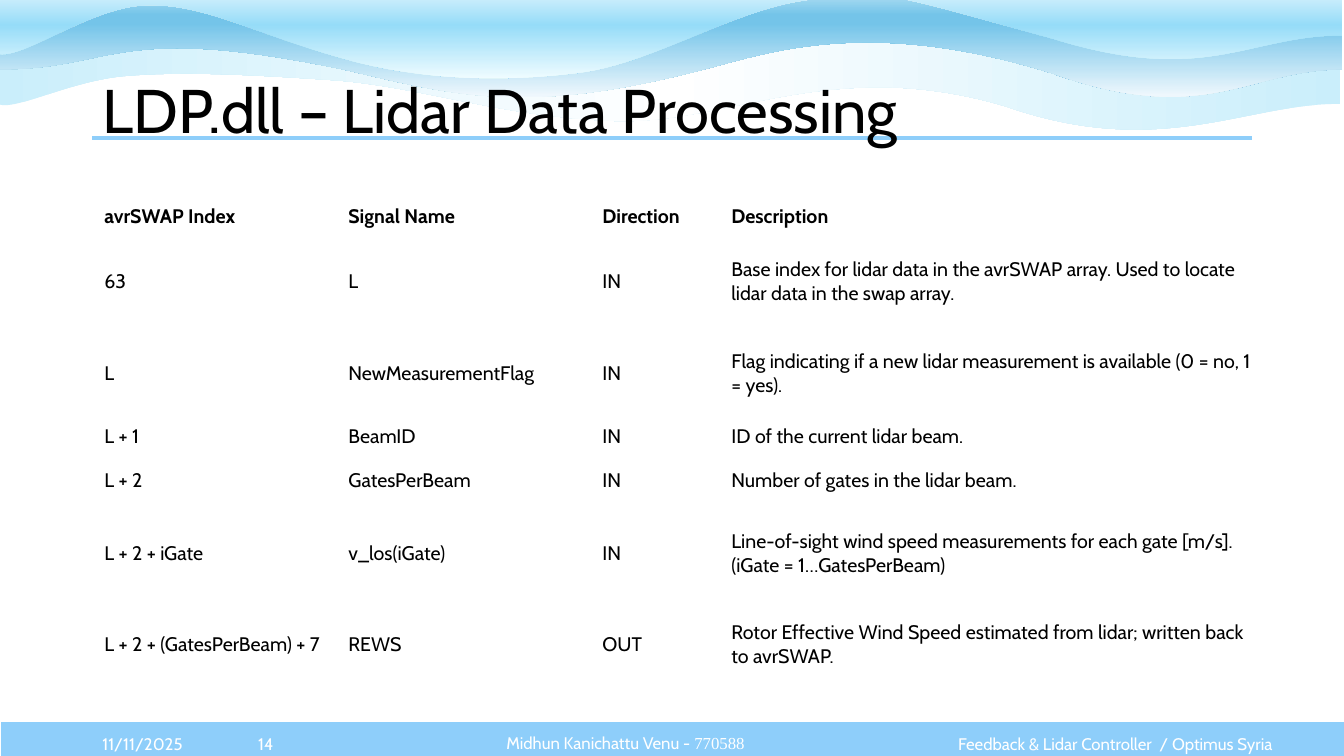
from lxml.etree import SubElement
from pptx import Presentation
from pptx.dml.color import RGBColor
from pptx.enum.shapes import MSO_CONNECTOR as Connector, MSO_SHAPE as Preset
from pptx.enum.text import MSO_ANCHOR as Anchor, MSO_AUTO_SIZE as AutoSize, PP_ALIGN as Align
from pptx.oxml.ns import qn
from pptx.util import Cm, Pt

BLACK = RGBColor(0x00, 0x00, 0x00)
WHITE = RGBColor(0xFF, 0xFF, 0xFF)
SKY = RGBColor(0x8E, 0xCE, 0xFA)
PALE = RGBColor(0xCA, 0xEE, 0xFB)
MIST = RGBColor(0xF0, 0xF8, 0xFD)
SEA = RGBColor(0x74, 0xC4, 0xE9)
LAGOON = RGBColor(0xA2, 0xD8, 0xF0)
FROST = RGBColor(0xEF, 0xFC, 0xFF)
AQUA = RGBColor(0x96, 0xDC, 0xF8)

TITLE = "LDP.dll – Lidar Data Processing"
SIGNALS = [
    ("avrSWAP Index", "Signal Name", "Direction", "Description"),
    ("63", "L", "IN",
     "Base index for lidar data in the avrSWAP array. Used to locate lidar data in the swap array."),
    ("L", "NewMeasurementFlag", "IN",
     "Flag indicating if a new lidar measurement is available (0 = no, 1 = yes)."),
    ("L + 1", "BeamID", "IN", "ID of the current lidar beam."),
    ("L + 2", "GatesPerBeam", "IN", "Number of gates in the lidar beam."),
    ("L + 2 + iGate", "v_los(iGate)", "IN",
     "Line-of-sight wind speed measurements for each gate [m/s]. (iGate = 1…GatesPerBeam)"),
    ("L + 2 + (GatesPerBeam) + 7", "REWS", "OUT",
     "Rotor Effective Wind Speed estimated from lidar; written back to avrSWAP."),
]
COLUMN_WIDTHS = [6.15, 6.4, 3.25, 13.72]
ROW_HEIGHTS = [0.64, 2.54, 2.06, 1.12, 1.12, 2.54, 2.06]

SANS, SERIF = "Cabin", "Times New Roman"
FOOTER = [
    (3.08, Align.LEFT, [("11/11/2025", SANS)]),
    (2.58, Align.CENTER, [("14", SANS)]),
    (15.55, Align.CENTER, [("Midhun Kanichattu Venu - ", SANS), ("770588", SERIF)]),
    (8.79, Align.RIGHT, [("Feedback & Lidar Controller  / Optimus Syria", SANS)]),
]
AUTHOR_INDEX = 2

WAVES = [
    {"top": 0.76, "bottom": 3.25, "angle": 0,
     "stops": [(0, PALE), (50, WHITE), (100, PALE)],
     "start": (33.78, 2.62),
     "curves": [((31.42, 2.59), (29.26, 4.04), (25.37, 2.69)),
                ((21.01, 1.37), (18.31, 3.15), (15.49, 3.05)),
                ((12.67, 2.95), (10.69, 2.21), (8.51, 2.03)),
                ((6.32, 1.88), (4.65, 1.8), (3.23, 1.91)),
                ((1.8, 2.01), (0.36, 2.82), (-0.05, 2.62))]},
    {"top": -0.05, "bottom": 2.44, "angle": 270,
     "stops": [(0, LAGOON), (17, SEA), (26, SEA), (100, MIST)],
     "start": (33.83, 1.75),
     "curves": [((31.47, 1.75), (30.38, 3.23), (26.52, 1.85)),
                ((22.12, 0.48), (19.63, 1.24), (17.93, 1.7)),
                ((13.41, 2.9), (11.66, 2.46), (8.79, 1.78)),
                ((2.87, 0.53), (2.92, 1.75), (0, 1.75))]},
    {"top": -0.71, "bottom": 1.98, "angle": 270,
     "stops": [(0, WHITE), (50, AQUA), (100, FROST)],
     "start": (33.83, 0.89),
     "curves": [((31.47, 0.89), (30.38, 2.18), (26.52, 0.97)),
                ((22.15, -0.23), (22.63, -0.18), (20.65, -0.03)),
                ((18.67, 0.1), (16.59, 1.57), (14.63, 1.83)),
                ((12.65, 2.08), (10.62, 2.01), (8.81, 1.52)),
                ((6.55, 0.91), (5.26, 0.13), (3.81, 0.13)),
                ((2.34, 0.1), (0.56, 1.55), (-0.08, 1.35))]},
]
LEFT, CONTENT_WIDTH = 2.33, 29.21
RULE_TOP = 3.48
FOOTER_TOP, FOOTER_HEIGHT = 18.24, 1.02


def apply(target, **values):
    for name, value in values.items():
        setattr(target, name, value)


def place(shape, left, top, width, height):
    apply(shape, left=Cm(left), top=Cm(top), width=Cm(width), height=Cm(height))


def write(paragraph, runs, size, color, **layout):
    apply(paragraph, space_before=Pt(0), **layout)
    for text, font_name in runs:
        run = paragraph.add_run()
        run.text = text
        apply(run.font, name=font_name, size=Pt(size))
        run.font.color.rgb = color


def bend_sides(shape, curves, height):
    outline = shape.element.spPr.find(".//" + qn("a:path"))
    sides = outline.findall(qn("a:lnTo"))
    for side, curve in zip(sides, curves):
        bend = SubElement(outline, qn("a:cubicBezTo"))
        for x, y in curve:
            SubElement(bend, qn("a:pt"), x=str(Cm(x) - shape.left), y=str(Cm(y) - shape.top))
        outline.replace(side, bend)
    outline.set("h", str(height))
    shape.height = height


def add_wave(slide, wave):
    ends = [wave["start"]] + [curve[-1] for curve in wave["curves"]]
    corners = [(ends[-1][0], wave["top"]), (ends[0][0], wave["top"])]
    points = [(Cm(x), Cm(y)) for x, y in ends + corners]
    builder = slide.shapes.build_freeform(*points[0])
    builder.add_line_segments(points[1:], close=True)
    shape = builder.convert_to_shape()
    bend_sides(shape, wave["curves"], Cm(wave["bottom"] - wave["top"]))
    shape.shadow.inherit = False
    shape.line.fill.background()
    shape.fill.gradient()
    shape.fill.gradient_angle = wave["angle"]
    stop_list = shape.element.spPr.find(".//" + qn("a:gsLst"))
    stop_list.clear()
    for position, color in wave["stops"]:
        stop = SubElement(stop_list, qn("a:gs"), pos=str(position * 1000))
        SubElement(stop, qn("a:srgbClr"), val=str(color))


def add_footer(slide, author):
    left = LEFT
    for index, (width, alignment, runs) in enumerate(FOOTER):
        layout = {"alignment": alignment}
        if index == AUTHOR_INDEX:
            box = author
            place(box, left, FOOTER_TOP, width, FOOTER_HEIGHT)
            properties = box.text_frame.paragraphs[0]._p.get_or_add_pPr()
            properties.attrib.update({"marL": "0", "indent": "0"})
            SubElement(properties, qn("a:buNone"))
            layout["line_spacing"] = 0.9
        else:
            box = slide.shapes.add_textbox(Cm(left), Cm(FOOTER_TOP), Cm(width), Cm(FOOTER_HEIGHT))
        apply(box.text_frame, word_wrap=True, auto_size=AutoSize.NONE, vertical_anchor=Anchor.MIDDLE)
        write(box.text_frame.paragraphs[0], runs, 12, WHITE, **layout)
        left += width


def add_signal_table(slide):
    table = slide.shapes.add_table(
        len(SIGNALS), len(COLUMN_WIDTHS), Cm(2.48), Cm(5.07),
        Cm(sum(COLUMN_WIDTHS)), Cm(sum(ROW_HEIGHTS))).table
    apply(table, first_row=False, horz_banding=False)
    for column, width in zip(table.columns, COLUMN_WIDTHS):
        column.width = Cm(width)
    for row_index, (row, height, texts) in enumerate(zip(table.rows, ROW_HEIGHTS, SIGNALS)):
        row.height = Cm(height)
        for cell, text in zip(row.cells, texts):
            cell.fill.background()
            apply(cell, vertical_anchor=Anchor.MIDDLE, margin_left=Cm(0.15),
                  margin_right=Cm(0.15), margin_top=Cm(0.08), margin_bottom=Cm(0.08))
            paragraph = cell.text_frame.paragraphs[0]
            write(paragraph, [(text, SANS)], 14, BLACK)
            paragraph.runs[0].font.bold = row_index == 0


def main():
    """Build the lidar signal table slide."""
    presentation = Presentation()
    apply(presentation, slide_width=Cm(33.87), slide_height=Cm(19.05))
    slide = presentation.slides.add_slide(presentation.slide_layouts[1])
    title, author = slide.placeholders

    bar = slide.shapes.add_shape(Preset.RECTANGLE, Cm(0), Cm(18.16), Cm(33.91), Cm(FOOTER_HEIGHT))
    bar.shadow.inherit = False
    bar.fill.solid()
    bar.fill.fore_color.rgb = SKY
    bar.line.color.rgb = WHITE
    bar.line.width = Pt(1.5)
    for wave in WAVES:
        add_wave(slide, wave)
    rule = slide.shapes.add_connector(
        Connector.STRAIGHT, Cm(LEFT), Cm(RULE_TOP), Cm(LEFT + CONTENT_WIDTH), Cm(RULE_TOP))
    rule.line.color.rgb = SKY
    rule.line.width = Pt(3)
    SubElement(rule.element.spPr, qn("a:effectLst"))

    for placeholder in (title, author):
        placeholder.element.getparent().append(placeholder.element)
    place(title, LEFT, 1.02, CONTENT_WIDTH, 3.68)
    apply(title.text_frame, word_wrap=True, auto_size=AutoSize.NONE, vertical_anchor=Anchor.MIDDLE)
    write(title.text_frame.paragraphs[0], [(TITLE, SANS)], 44, BLACK,
          alignment=Align.LEFT, line_spacing=0.9)
    add_signal_table(slide)
    add_footer(slide, author)
    presentation.save("out.pptx")


if __name__ == "__main__":
    main()
